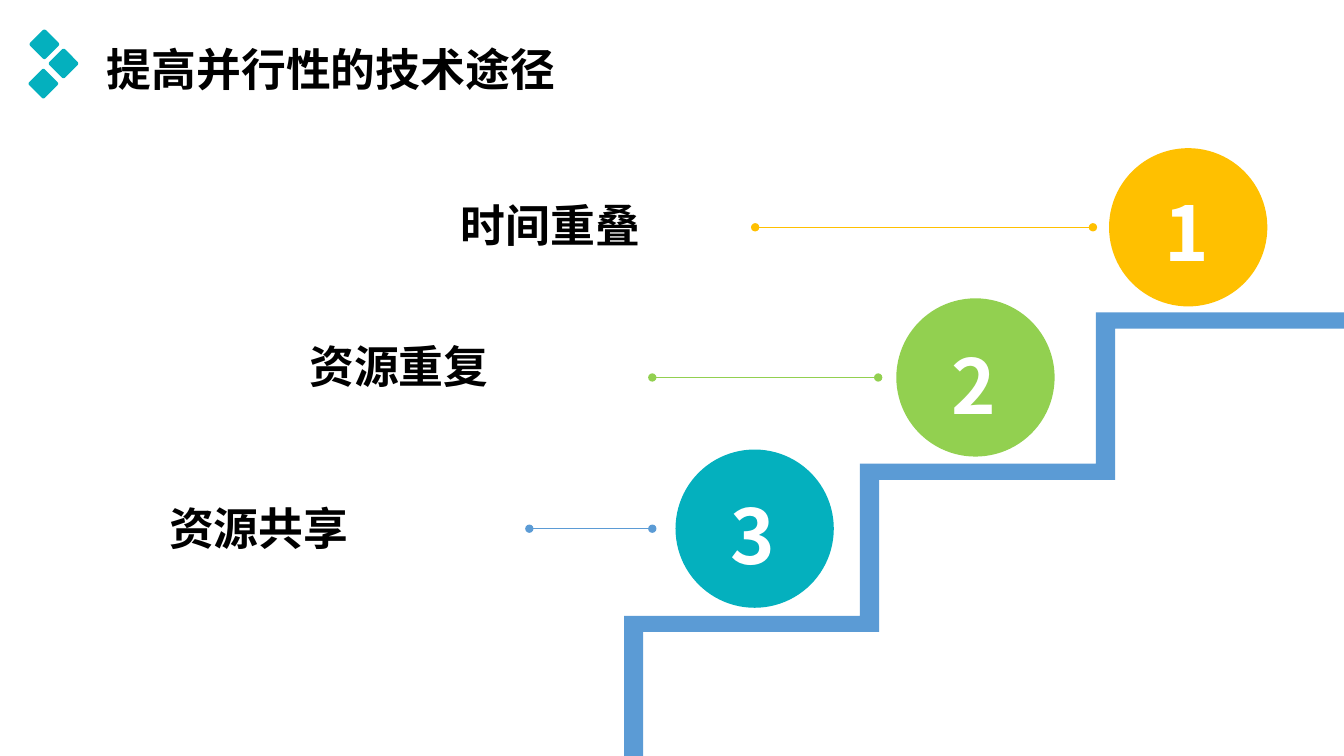
"""Build a staircase slide on three technical routes to parallelism."""
import pptx
import pptx.util
import pptx.dml.color
import pptx.enum.shapes
import pptx.enum.text
import pptx.oxml.ns
import lxml.etree

Inches = pptx.util.Inches
RGBColor = pptx.dml.color.RGBColor
SHAPE = pptx.enum.shapes.MSO_SHAPE
qn = pptx.oxml.ns.qn

TEAL = RGBColor(0x04, 0xB0, 0xBE)
GREEN = RGBColor(0x92, 0xD0, 0x50)
AMBER = RGBColor(0xFF, 0xC0, 0x00)
BLUE = RGBColor(0x5B, 0x9B, 0xD5)
BLACK = RGBColor(0, 0, 0)
WHITE = RGBColor(0xFF, 0xFF, 0xFF)
FONT = "Noto Sans CJK SC"


def write(sp, text, size, color, wrap):
    tf = sp.text_frame
    tf.word_wrap = wrap
    tf.auto_size = pptx.enum.text.MSO_AUTO_SIZE.SHAPE_TO_FIT_TEXT
    tf.vertical_anchor = pptx.enum.text.MSO_ANCHOR.TOP
    p = tf.paragraphs[0]
    p.alignment = pptx.enum.text.PP_ALIGN.LEFT
    r = p.add_run()
    r.text = text
    for name, value in {"name": FONT, "size": pptx.util.Pt(size), "bold": True}.items():
        setattr(r.font, name, value)
    r.font.color.rgb = color
    ea = lxml.etree.SubElement(r.font._element, qn("a:ea"))
    ea.set("typeface", FONT)


def paint(sp, color):
    sp.shadow.inherit = False
    sp.fill.solid()
    sp.fill.fore_color.rgb = color
    sp.line.fill.background()


prs = pptx.Presentation()
prs.slide_width = Inches(13.33)
prs.slide_height = Inches(7.5)
s = prs.slides.add_slide(prs.slide_layouts[5])

title = s.shapes.title
for name, value in {"left": 0.96, "top": 0.36, "width": 6.53, "height": 0.64}.items():
    setattr(title, name, Inches(value))
write(title, "提高并行性的技术途径", 32, BLACK, True)

side = 0.22
for x, y in [(0.44, 0.44), (0.63, 0.63), (0.43, 0.83)]:
    diamond = s.shapes.add_shape(SHAPE.ROUNDED_RECTANGLE, Inches(x - side / 2),
                                 Inches(y - side / 2), Inches(side), Inches(side))
    diamond.adjustments[0] = 0.1
    diamond.rotation = 45
    paint(diamond, TEAL)

riser, tread = 0.19, 0.16
corners = [(6.19, 6.11), (8.53, 4.6), (10.87, 3.1)]
upper, lower = [], []
bottom = 7.5
for x, y in corners:
    upper += [(x, bottom), (x, y)]
    lower += [(x + riser, bottom if x == 6.19 else bottom + tread), (x + riser, y + tread)]
    bottom = y
upper.append((13.33, bottom))
lower.append((13.33, bottom + tread))
outline = [(Inches(x), Inches(y)) for x, y in upper + lower[::-1]]
builder = s.shapes.build_freeform(*outline[0])
builder.add_line_segments(outline[1:], close=True)
paint(builder.convert_to_shape(), BLUE)

steps = [
    ("1", "时间重叠", AMBER, AMBER, (11, 1.47), (10.84, 7.49), (4.47, 1.91), (11.45, 1.79)),
    ("2", "资源重复", GREEN, GREEN, (8.89, 2.96), (8.71, 6.47), (2.97, 3.31), (9.34, 3.31)),
    ("3", "资源共享", TEAL, BLUE, (6.7, 4.46), (6.47, 5.25), (1.58, 4.92), (7.15, 4.8)),
]
for number, label, fill, line, circle_at, ends, label_at, number_at in steps:
    circle = s.shapes.add_shape(SHAPE.OVAL, *map(Inches, circle_at), Inches(1.57), Inches(1.57))
    paint(circle, fill)

    y = Inches(circle_at[1] + 0.785)
    cx = s.shapes.add_connector(pptx.enum.shapes.MSO_CONNECTOR.STRAIGHT,
                                Inches(ends[0]), y, Inches(ends[1]), y)
    cx.line.color.rgb = line
    cx.line.width = pptx.util.Pt(1)
    for tag in ("a:headEnd", "a:tailEnd"):
        lxml.etree.SubElement(cx.line._get_or_add_ln(), qn(tag)).set("type", "oval")
    lxml.etree.SubElement(cx._element.spPr, qn("a:effectLst"))

    box = s.shapes.add_textbox(*map(Inches, label_at), Inches(2), Inches(0.64))
    write(box, label, 32, BLACK, False)
    box = s.shapes.add_textbox(*map(Inches, number_at), Inches(1.12), Inches(1.01))
    write(box, number, 54, WHITE, True)

prs.save("out.pptx")
